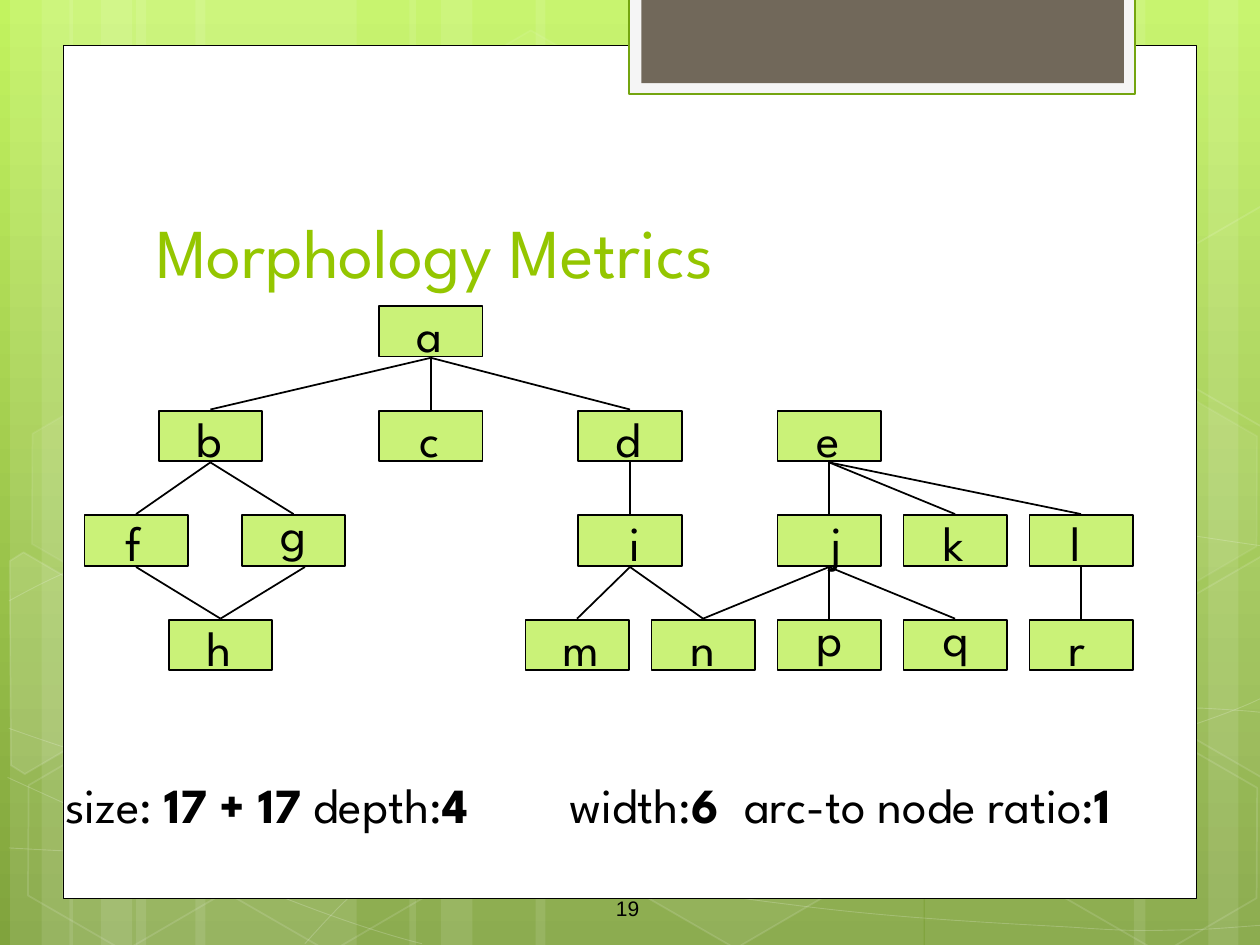
"""Builds the Morphology Metrics slide: a module hierarchy with its size, depth and width."""
import math

from lxml import etree
from pptx import Presentation
from pptx import util as u
from pptx.dml import color
from pptx.enum import shapes, text
from pptx.oxml import ns

FACE = "League Spartan"
BLACK, WHITE, NODE_FILL = "000000", "FFFFFF", "CAF278"
TILT = 30

STRIPES = [(1.08, 1.75), (0.08, 0.5), (0.33, 0.83), (1.55, 1.75), (0.55, 0.5), (0.8, 0.83),
           (7.34, 1.75), (9.59, 0.5), (9, 0.83), (4.25, 3.08), (3.25, 0.5), (3.5, 0.83)]
CURVES = [
    [(0.07, 6.73), (0.61, 6.76), (1.15, 6.79), (1.9, 6.78), (2.65, 6.77), (3.58, 6.75),
     (4.58, 6.65), (5.58, 6.55), (7, 6.36), (7.92, 6.17), (8.83, 5.98), (9.77, 5.68),
     (10.07, 5.51)],
    [(0.07, 4.77), (0.36, 4.61), (0.65, 4.46), (1.21, 4.31), (1.78, 4.16), (2.59, 3.94),
     (3.47, 3.87), (4.36, 3.8), (5.44, 3.79), (6.54, 3.87), (7.64, 3.95), (9.47, 4.26),
     (10.07, 4.34)],
    [(0.06, 6.17), (1.27, 6.72), (2.47, 7.27), (3.35, 7.49)],
    [(0.07, 5.78), (0.38, 5.89), (0.7, 6), (1.28, 6.16), (1.86, 6.31), (2.73, 6.56),
     (3.57, 6.73), (4.4, 6.9), (5.45, 7.08), (6.28, 7.18), (7.11, 7.29), (8, 7.33),
     (8.53, 7.36), (9.06, 7.4), (9.19, 7.38), (9.45, 7.38), (9.71, 7.37), (9.89, 7.35),
     (10.07, 7.34)],
    [(2.42, 7.49), (2.6, 7.29), (2.78, 7.09), (3.02, 6.91), (3.26, 6.72), (3.6, 6.53),
     (3.88, 6.39), (4.16, 6.25), (4.33, 6.19), (4.69, 6.09), (5.06, 5.99), (5.73, 5.85),
     (6.08, 5.78), (6.44, 5.71), (6.49, 5.71), (6.8, 5.69), (7.11, 5.66), (7.6, 5.63),
     (7.94, 5.62), (8.29, 5.61), (8.86, 5.62), (8.86, 5.62), (9.08, 5.62), (9.31, 5.62),
     (9.53, 5.62), (9.71, 5.63), (9.88, 5.64), (9.97, 5.65), (10.06, 5.66), (10.03, 5.65),
     (10.06, 5.66)],
]
HEXAGONS = [(3.34, 0.36, 4, 8), (4.96, 5.89, 6, 12), (0.11, 5.91, 0, 12), (0.14, 3.12, 7, 8),
            (1.74, 5.92, 0, 12), (7.53, 4.53, 10, 12), (8.34, 5.93, 0, 12), (8.34, 3.14, 7, 8)]
CUT_HEXAGONS = [
    ((0.36, 5.36), 10,
     [(0.08, 4.45), (0.19, 4.38), (0.96, 4.83), (0.95, 5.7), (0.2, 6.14), (0.09, 6.07)]),
    ((9.85, 5.2), 4,
     [(9.26, 4.85), (10.02, 4.41), (10.09, 4.46), (10.09, 6.13), (10.02, 6.17), (9.26, 5.73)]),
    ((9.85, 2.41), 0,
     [(9.26, 2.07), (10.02, 1.63), (10.1, 1.68), (10.09, 3.35), (10.02, 3.39), (9.26, 2.95)]),
]
PANELS = [((0.5, 0.36, 9, 6.77), WHITE, BLACK, 0.5),
          ((4.99, -0.02, 4.02, 0.77), "F5F5F5", "74A510", 1.25),
          ((5.09, -0.02, 3.83, 0.68), "71685A", None, 0)]

TOP, PITCH, NODE_W, NODE_H = 2.43, 0.83, 0.82, 0.4
LEVELS = [
    [("a", 3.01, 3.21, 0.42)],
    [("b", 1.26, 1.46, 0.44), ("c", 3.01, 3.23, 0.38), ("d", 4.59, 4.79, 0.44),
     ("e", 6.17, 6.38, 0.42)],
    [("f", 0.67, 0.9, 0.33), ("g", 1.92, 2.13, 0.44), ("i", 4.59, 4.9, 0.3),
     ("j", 6.17, 6.49, 0.3), ("k", 7.17, 7.39, 0.41), ("l", 8.17, 8.4, 0.3)],
    [("h", 1.34, 1.54, 0.44), ("m", 4.17, 4.37, 0.56), ("n", 5.17, 5.38, 0.44),
     ("p", 6.17, 6.38, 0.44), ("q", 7.17, 7.38, 0.44), ("r", 8.17, 8.38, 0.36)],
]
RAISED = "gpq"
ARCS = {"a": "bcd", "b": "fg", "d": "i", "e": "jkl", "f": "h", "g": "h", "i": "mn",
        "j": "npq", "l": "r"}
START_SHIFT = {"g": 0.09}
METRICS = [("size: ", False), ("17 + 17", True), (" depth:", False), ("4\t", True),
           ("width:", False), ("6 ", True), (" arc-to node ratio:", False), ("1", True)]


def rgb(value):
    return color.RGBColor.from_string(value)


def paint(part, value, alpha=100):
    part.solid()
    part.fore_color.rgb = rgb(value)
    if alpha < 100:
        tint = part._xPr.find(".//" + ns.qn("a:srgbClr"))
        etree.SubElement(tint, ns.qn("a:alpha")).set("val", str(alpha * 1000))


def style(shape, fill=None, line=None, width=1, fill_alpha=100, line_alpha=100):
    shape.shadow.inherit = False
    if fill and fill_alpha:
        paint(shape.fill, fill, fill_alpha)
    else:
        shape.fill.background()
    if line:
        shape.line.width = u.Pt(width)
        paint(shape.line.fill, line, line_alpha)
    else:
        shape.line.fill.background()


def add_preset(slide, kind, box, **look):
    shape = slide.shapes.add_shape(kind, *map(u.Inches, box))
    style(shape, **look)
    return shape


def add_outline(slide, points, closed, **look):
    spots = [(u.Inches(x), u.Inches(y)) for x, y in points]
    builder = slide.shapes.build_freeform(*spots[0], scale=1.0)
    builder.add_line_segments(spots[1:], close=closed)
    outline = builder.convert_to_shape()
    style(outline, **look)
    return outline


def bend(outline):
    route = outline._element.find(".//" + ns.qn("a:path"))
    legs = route.findall(ns.qn("a:lnTo"))
    for i in range(0, len(legs), 3):
        curve = etree.SubElement(route, ns.qn("a:cubicBezTo"))
        for leg in legs[i:i + 3]:
            curve.append(leg[0])
            route.remove(leg)


def turn_back(points, centre):
    cos, sin = math.cos(math.radians(TILT)), math.sin(math.radians(TILT))
    cx, cy = centre
    return [(cx + (x - cx) * cos + (y - cy) * sin, cy - (x - cx) * sin + (y - cy) * cos)
            for x, y in points]


def add_words(slide, box, runs, size, face=FACE, ink=BLACK, anchor="TOP", wrap=True, grow=False):
    frame = slide.shapes.add_textbox(*map(u.Inches, box)).text_frame
    frame.word_wrap = wrap
    frame.vertical_anchor = text.MSO_ANCHOR[anchor]
    if grow:
        frame.auto_size = text.MSO_AUTO_SIZE.SHAPE_TO_FIT_TEXT
    stops = etree.SubElement(frame.paragraphs[0]._p.get_or_add_pPr(), ns.qn("a:tabLst"))
    for inch in range(8):
        stop = etree.SubElement(stops, ns.qn("a:tab"))
        stop.set("pos", str(u.Inches(inch)))
        stop.set("algn", "l")
    for words, bold in runs:
        run = frame.paragraphs[0].add_run()
        run.text = words
        run.font.size, run.font.name, run.font.bold = u.Pt(size), face, bold
        run.font.color.rgb = rgb(ink)


def add_arc(slide, start, end):
    arc = slide.shapes.add_connector(shapes.MSO_CONNECTOR.STRAIGHT, *map(u.Inches, start + end))
    arc.line.width = u.Pt(1)
    paint(arc.line.fill, BLACK)
    etree.SubElement(arc._element.spPr, ns.qn("a:effectLst"))


def add_backdrop(slide):
    sky = slide.background.fill
    sky.gradient()
    sky.gradient_angle = 270
    for stop, value in zip(sky.gradient_stops, ("C2F35F", "80A33D")):
        stop.color.rgb = rgb(value)
    rect = shapes.MSO_SHAPE.RECTANGLE
    for left, width in STRIPES:
        add_preset(slide, rect, (left, 0, width, 7.5), fill=WHITE, fill_alpha=10)
    for curve in CURVES:
        bend(add_outline(slide, curve, False, line=WHITE, width=0.5, line_alpha=20))
    for left, top, fill_alpha, line_alpha in HEXAGONS:
        hexagon = add_preset(slide, shapes.MSO_SHAPE.HEXAGON, (left, top, 1.75, 1.52), fill=WHITE,
                             line=WHITE, fill_alpha=fill_alpha, line_alpha=line_alpha)
        hexagon.adjustments[0] = 0.285
        hexagon.rotation = TILT
    for centre, fill_alpha, points in CUT_HEXAGONS:
        add_outline(slide, turn_back(points, centre), True, fill=WHITE, line=WHITE,
                    fill_alpha=fill_alpha, line_alpha=12).rotation = TILT
    for box, fill, line, width in PANELS:
        add_preset(slide, rect, box, fill=fill, line=line, width=width)


def add_hierarchy(slide):
    centres = {}
    for level, nodes in enumerate(LEVELS):
        top = TOP + level * PITCH
        for letter, left, label_left, label_width in nodes:
            centres[letter] = (left + NODE_W / 2, top)
            add_preset(slide, shapes.MSO_SHAPE.RECTANGLE, (left, top, NODE_W, NODE_H),
                       fill=NODE_FILL, line=BLACK)
            label_top = top - (0.15 if letter in RAISED else 0.07)
            add_words(slide, (label_left, label_top, label_width, 0.56), [(letter, False)], 28,
                      wrap=False, grow=True)
    for parent, children in ARCS.items():
        x, y = centres[parent]
        for child in children:
            child_x, child_y = centres[child]
            add_arc(slide, (x + START_SHIFT.get(parent, 0), y + NODE_H + 0.01),
                    (child_x, child_y - 0.01))


def main():
    deck = Presentation()
    deck.slide_width, deck.slide_height = u.Inches(10), u.Inches(7.5)
    slide = deck.slides.add_slide(deck.slide_layouts[6])
    add_backdrop(slide)
    add_words(slide, (1.14, 1.12, 7.68, 1.25), [("Morphology Metrics", False)], 40,
              ink="94C600", anchor="BOTTOM")
    add_words(slide, (4.79, 7.01, 2.57, 0.4), [("19", False)], 12, face="Arial", anchor="MIDDLE")
    add_hierarchy(slide)
    add_words(slide, (0.42, 6.1, 8.94, 1.03), METRICS, 28, grow=True)
    deck.save("out.pptx")


if __name__ == "__main__":
    main()
